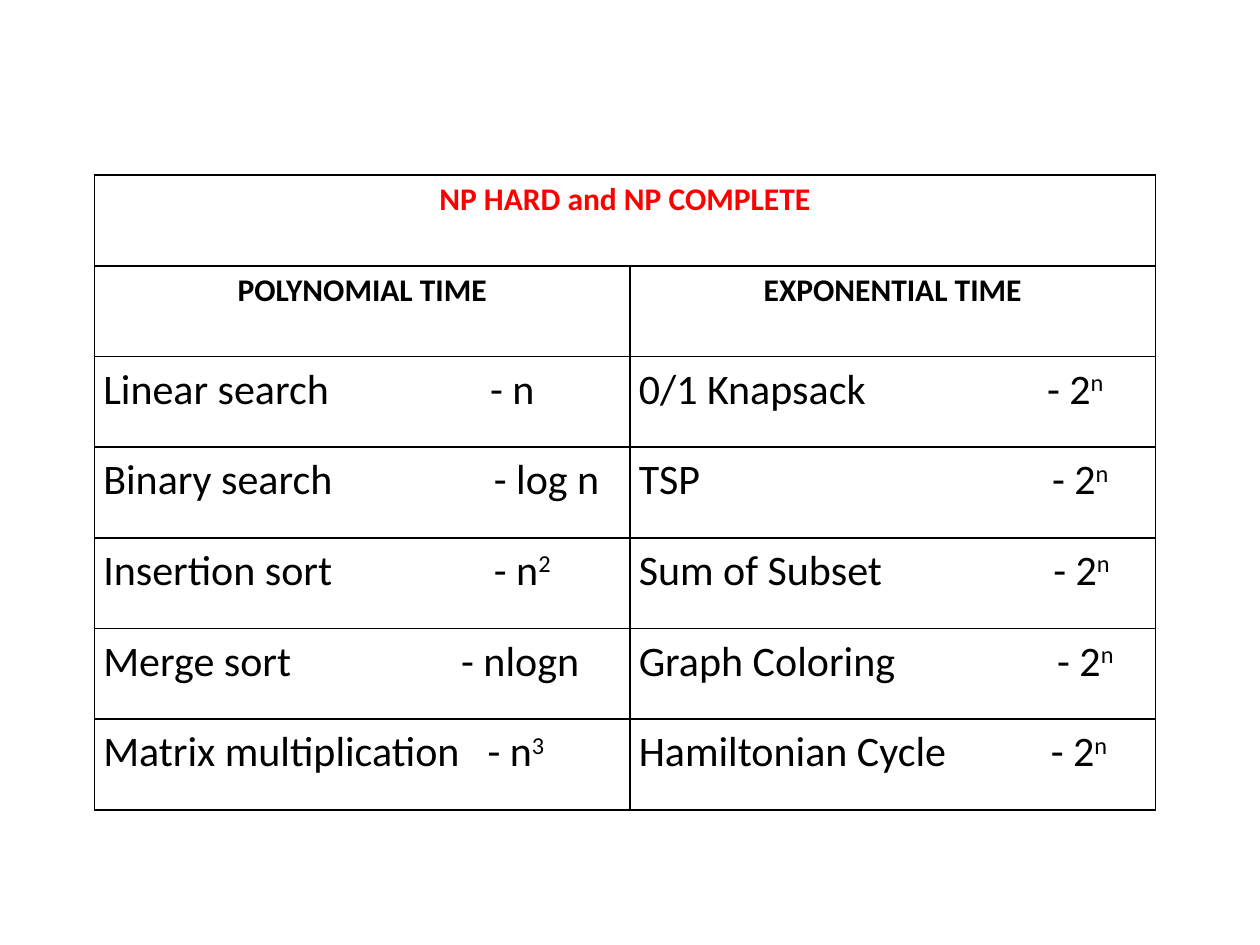
import pptx
import pptx.dml.color
import pptx.enum.text
import pptx.oxml
import pptx.oxml.ns
import pptx.util
from pptx.util import Inches

COLORS = {"black": "000000", "red": "FF0000", "white": "FFFFFF"}
FONT = "Calibri"
TITLE = "NP HARD and NP COMPLETE"
HEADINGS = ["POLYNOMIAL TIME", "EXPONENTIAL TIME"]
COLUMN_WIDTHS = [4.25, 4.17]
ROW_HEIGHT = 0.72

# Each entry: name, cost, exponent, tab stop of the cost in inches
ALGORITHMS = [
    [("Linear search", "n", "", 3.07), ("0/1 Knapsack", "2", "n", 3.24)],
    [("Binary search", "log n", "", 3.1), ("TSP", "2", "n", 3.28)],
    [("Insertion sort", "n", "2", 3.1), ("Sum of Subset", "2", "n", 3.29)],
    [("Merge sort", "nlogn", "", 2.84), ("Graph Coloring", "2", "n", 3.32)],
    [("Matrix multiplication", "n", "3", 3.05), ("Hamiltonian Cycle", "2", "n", 3.27)],
]


def rgb(name):
    return pptx.dml.color.RGBColor.from_string(COLORS[name])


def format_cell(cell):
    cell.margin_left = cell.margin_right = Inches(0.07)
    cell.margin_top = cell.margin_bottom = 0
    cell.fill.solid()
    cell.fill.fore_color.rgb = rgb("white")
    properties = cell._tc.get_or_add_tcPr()
    for index, side in enumerate(("lnL", "lnR", "lnT", "lnB")):
        border = pptx.oxml.parse_xml(
            f'<a:{side} {pptx.oxml.ns.nsdecls("a")} w="12700"><a:solidFill>'
            f'<a:srgbClr val="{COLORS["black"]}"/></a:solidFill></a:{side}>')
        properties.insert(index, border)


def format_paragraph(para, size, color="black", bold=False):
    para.line_spacing = 1.15
    para.font.name = FONT
    para.font.size = pptx.util.Pt(size)
    para.font.bold = bold
    para.font.color.rgb = rgb(color)


def write_heading(cell, text, color="black"):
    para = cell.text_frame.paragraphs[0]
    para.text = text
    para.alignment = pptx.enum.text.PP_ALIGN.CENTER
    format_paragraph(para, 18, color, bold=True)


def write_algorithm(cell, name, cost, exponent, stop):
    para = cell.text_frame.paragraphs[0]
    para._p.get_or_add_pPr().append(pptx.oxml.parse_xml(
        f'<a:tabLst {pptx.oxml.ns.nsdecls("a")}>'
        f'<a:tab pos="{Inches(stop)}" algn="l"/></a:tabLst>'))
    para.add_run().text = f"{name}\t- {cost}"
    if exponent:
        span = para.add_run()
        span.text = exponent
        span.font._element.set("baseline", "30000")
    format_paragraph(para, 24)


def add_complexity_table(page, left, top, width, height):
    row_count = len(ALGORITHMS) + 2
    table = page.shapes.add_table(
        row_count, len(HEADINGS), left, top, width, height).table
    table.first_row = table.horz_banding = False
    for column, column_width in zip(table.columns, COLUMN_WIDTHS):
        column.width = Inches(column_width)
    for row in table.rows:
        row.height = Inches(ROW_HEIGHT)
    for cell in table.iter_cells():
        format_cell(cell)

    # Title and column headings
    table.cell(0, 0).merge(table.cell(0, 1))
    write_heading(table.cell(0, 0), TITLE, "red")
    for column_index, heading in enumerate(HEADINGS):
        write_heading(table.cell(1, column_index), heading)

    # Algorithms with their running times
    for row_index, entries in enumerate(ALGORITHMS, start=2):
        for column_index, entry in enumerate(entries):
            write_algorithm(table.cell(row_index, column_index), *entry)


def main():
    deck = pptx.Presentation()
    deck.slide_width, deck.slide_height = Inches(10), Inches(7.5)
    page = deck.slides.add_slide(deck.slide_layouts[6])
    add_complexity_table(page, Inches(0.75), Inches(1.39),
                         Inches(sum(COLUMN_WIDTHS)),
                         Inches(ROW_HEIGHT * (len(ALGORITHMS) + 2)))
    deck.save("out.pptx")


if __name__ == "__main__":
    main()
